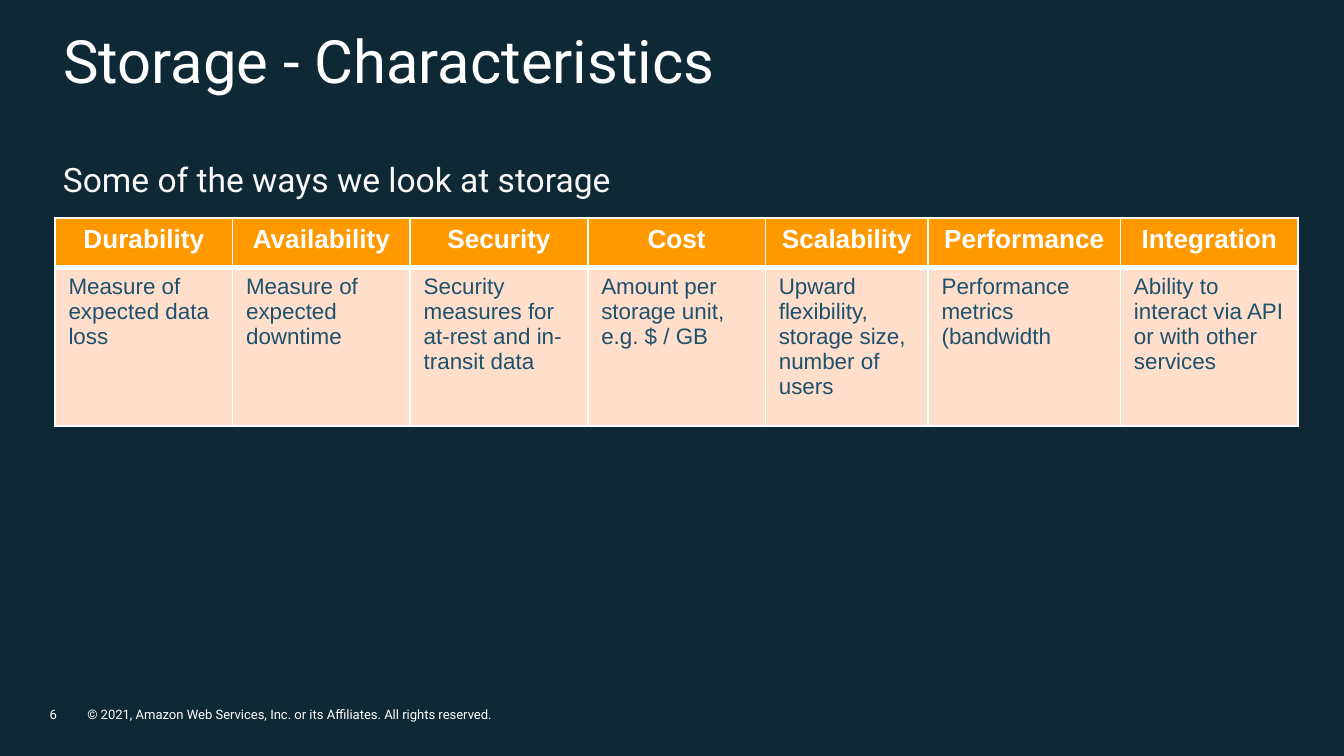
import dataclasses

import lxml.etree
import pptx
import pptx.dml.color
import pptx.enum.text
import pptx.oxml.ns
import pptx.util

ALIGN = pptx.enum.text.PP_ALIGN
ANCHOR = pptx.enum.text.MSO_ANCHOR
WIDTH = 10
HEIGHT = WIDTH * 9 / 16


@dataclasses.dataclass(frozen=True)
class Theme:
    background: str = "0E2836"
    white: str = "FFFFFF"
    subtitle: str = "F8F8F8"
    header_fill: str = "FF9900"
    body_fill: str = "FFDECC"
    body_text: str = "1D516C"
    display_font: str = "Roboto"
    table_font: str = "Arial"
    title_size: int = 32
    subtitle_size: int = 18
    header_size: int = 14
    body_size: int = 12
    footer_size: int = 7


THEME = Theme()

CHARACTERISTICS = [
    # heading, description, column width in inches
    ("Durability", "Measure of expected data loss", 1.32),
    ("Availability", "Measure of expected downtime", 1.32),
    ("Security", "Security measures for at-rest and in-transit data", 1.32),
    ("Cost", "Amount per storage unit, e.g. $ / GB", 1.32),
    ("Scalability", "Upward flexibility, storage size, number of users", 1.21),
    ("Performance", "Performance metrics (bandwidth", 1.43),
    ("Integration", "Ability to interact via API or with other services", 1.32),
]
ROW_HEIGHTS = (0.37, 1.18)


def inches(box):
    return [pptx.util.Inches(length) for length in box]


def rgb(value):
    return pptx.dml.color.RGBColor.from_string(value)


def write(frame, text, size, color, font, bold=False, align=ALIGN.LEFT):
    para = frame.paragraphs[0]
    para.alignment = align
    span = para.add_run()
    span.text = text
    formats = {"size": pptx.util.Pt(size), "name": font, "bold": bold}
    for name, value in formats.items():
        setattr(span.font, name, value)
    span.font.color.rgb = rgb(color)


def add_text(page, box, text, size, color, inset=None, wrap=True):
    frame = page.shapes.add_textbox(*inches(box)).text_frame
    frame.word_wrap = wrap
    if inset is not None:
        for side in ("left", "top", "right", "bottom"):
            setattr(frame, f"margin_{side}", pptx.util.Inches(inset))
    write(frame, text, size, color, THEME.display_font)


def add_heading(page, box):
    """Title placeholder with the subtitle below it."""
    left, top, width, height = box
    title = page.shapes.title
    for name, value in zip(("left", "top", "width", "height"), inches(box)):
        setattr(title, name, value)
    title.text_frame.vertical_anchor = ANCHOR.TOP
    write(title.text_frame, "Storage - Characteristics",
          THEME.title_size, THEME.white, THEME.display_font)
    add_text(page, (left, top + 1, 4.4, 0.4),
             "Some of the ways we look at storage",
             THEME.subtitle_size, THEME.subtitle, wrap=False)


def set_borders(cell, widths):
    """Draw white left, right, top and bottom cell borders."""
    properties = cell._tc.get_or_add_tcPr()
    qn = pptx.oxml.ns.qn
    for index, (side, width) in enumerate(zip("LRTB", widths)):
        line = lxml.etree.Element(qn(f"a:ln{side}"), w=str(pptx.util.Pt(width)))
        fill = lxml.etree.SubElement(line, qn("a:solidFill"))
        lxml.etree.SubElement(fill, qn("a:srgbClr"), val=THEME.white)
        properties.insert(index, line)


def add_characteristics(page, box):
    """Table with a heading row and a row of descriptions."""
    table = page.shapes.add_table(2, len(CHARACTERISTICS), *inches(box)).table
    table.horz_banding = False
    total = sum(width for _, _, width in CHARACTERISTICS)
    for row, height in zip(table.rows, ROW_HEIGHTS):
        row.height = pptx.util.Inches(height)

    # Fill, borders and text style of each row
    styles = [
        (THEME.header_fill, (1, 1, 1, 3),
         dict(size=THEME.header_size, color=THEME.white, bold=True,
              align=ALIGN.CENTER)),
        (THEME.body_fill, (1, 1, 3, 1),
         dict(size=THEME.body_size, color=THEME.body_text)),
    ]
    for column, (heading, description, width) in enumerate(CHARACTERISTICS):
        table.columns[column].width = pptx.util.Inches(box[2] * width / total)
        for row, text in enumerate((heading, description)):
            fill, borders, style = styles[row]
            cell = table.cell(row, column)
            cell.fill.solid()
            cell.fill.fore_color.rgb = rgb(fill)
            set_borders(cell, borders)
            write(cell.text_frame, text, font=THEME.table_font, **style)


def add_footer(page, box):
    """Page number followed by the copyright line."""
    left, top, width, height = box
    number_width = 0.28
    parts = [
        (left, number_width, "6"),
        (left + number_width, width - number_width,
         "© 2021, Amazon Web Services, Inc. or its Affiliates. "
         "All rights reserved."),
    ]
    for start, part_width, text in parts:
        add_text(page, (start, top, part_width, height), text,
                 THEME.footer_size, THEME.white, inset=0)


def main():
    deck = pptx.Presentation()
    deck.slide_width, deck.slide_height = inches((WIDTH, HEIGHT))
    page = deck.slides.add_slide(deck.slide_layouts.get_by_name("Title Only"))
    page.background.fill.solid()
    page.background.fill.fore_color.rgb = rgb(THEME.background)

    margin = 0.37
    add_footer(page, (margin, 5.26, 3.54, 0.12))
    add_heading(page, (margin, 0.13, 8.97, 0.6))
    add_characteristics(page, (0.41, 1.62, 9.25, sum(ROW_HEIGHTS)))
    deck.save("out.pptx")


if __name__ == "__main__":
    main()
